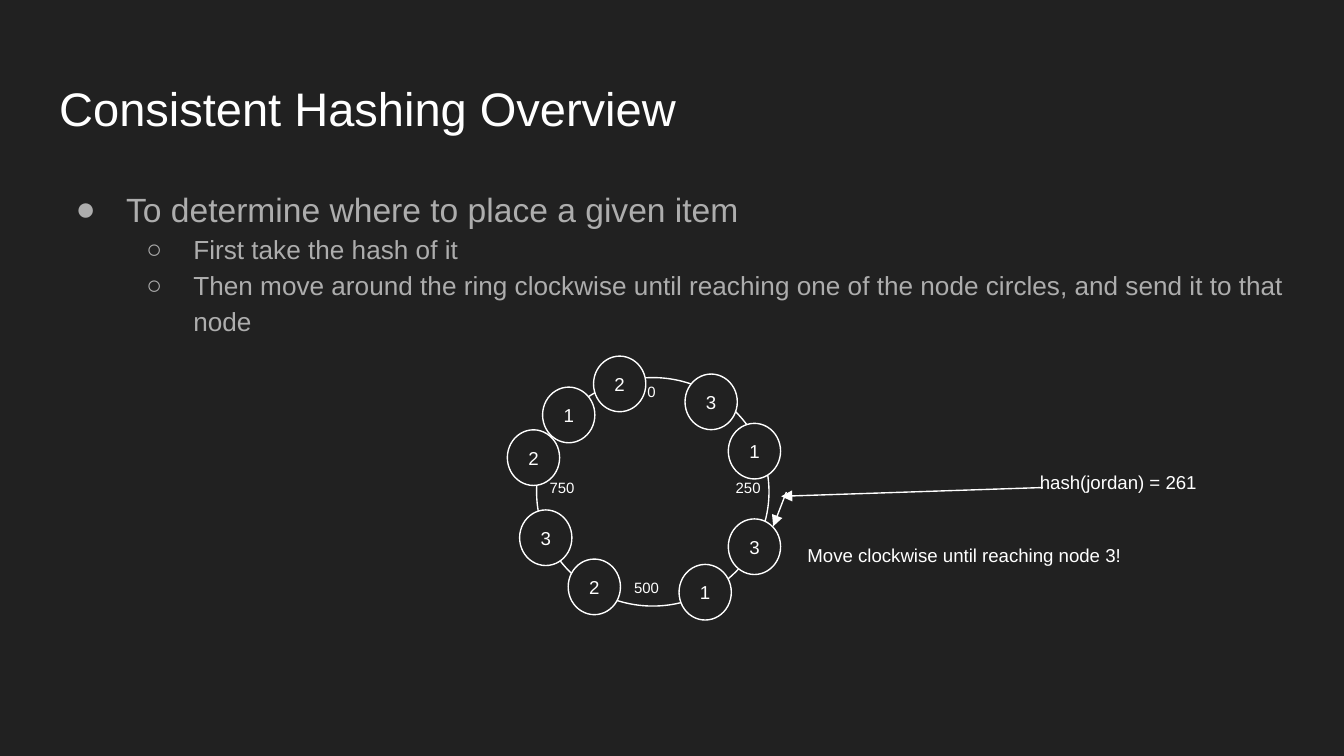
import pptx
import pptx.util
import pptx.dml.color
import pptx.enum.shapes
import pptx.enum.text
import pptx.oxml.ns
import lxml.etree

Pt = pptx.util.Pt
RGBColor = pptx.dml.color.RGBColor
ALIGN = pptx.enum.text.PP_ALIGN
ANCHOR = pptx.enum.text.MSO_ANCHOR
qn = pptx.oxml.ns.qn

DARK = RGBColor(0x21, 0x21, 0x21)
WHITE = RGBColor(0xFF, 0xFF, 0xFF)
GREY = RGBColor(0xAD, 0xAD, 0xAD)


class Deck:
    font = "Arial"
    line_width = 0.75
    inset = 7.2

    def __init__(self, width, height):
        self.prs = pptx.Presentation()
        self.prs.slide_width, self.prs.slide_height = Pt(width), Pt(height)

    def add_slide(self):
        self.s = self.prs.slides.add_slide(self.prs.slide_layouts[5])
        fill = self.s.background.fill
        fill.solid()
        fill.fore_color.rgb = DARK

    def format_text(self, tf, size, color=WHITE, align=ALIGN.LEFT,
                    anchor=ANCHOR.TOP, inset=inset):
        tf.word_wrap = True
        tf.vertical_anchor = anchor
        tf.margin_left = tf.margin_right = Pt(inset)
        tf.margin_top = tf.margin_bottom = Pt(inset)
        for p in tf.paragraphs:
            p.alignment = align
            for r in p.runs:
                r.font.name, r.font.size = self.font, Pt(size)
                r.font.color.rgb = color

    def title(self, text, x, y, w, h):
        sp = self.s.shapes.title
        sp.left, sp.top, sp.width, sp.height = Pt(x), Pt(y), Pt(w), Pt(h)
        tf = sp.text_frame
        tf.text = text
        tf.auto_size = pptx.enum.text.MSO_AUTO_SIZE.NONE
        self.format_text(tf, 25.2, anchor=ANCHOR.MIDDLE)

    def text(self, text, x, y, w, h, size, color=WHITE):
        sp = self.s.shapes.add_textbox(Pt(x), Pt(y), Pt(w), Pt(h))
        sp.text_frame.text = text
        self.format_text(sp.text_frame, size, color)
        return sp.text_frame

    def bullets(self, items, x, y, w, h):
        tf = self.text("\n".join(text for _, text in items), x, y, w, h, 18, GREY)
        for p, (level, _) in zip(tf.paragraphs, items):
            size, indent, char = [(18, 27, "●"), (14, 25.2, "○")][level]
            p.level = level
            p.line_spacing = 1.15
            for r in p.runs:
                r.font.size = Pt(size)
            pPr = p._p.get_or_add_pPr()
            pPr.set("marL", str(Pt(36 * (level + 1))))
            pPr.set("indent", str(-Pt(indent)))
            color = lxml.etree.SubElement(pPr, qn("a:buClr"))
            lxml.etree.SubElement(color, qn("a:srgbClr")).set("val", str(GREY))
            lxml.etree.SubElement(pPr, qn("a:buFont")).set("typeface", self.font)
            lxml.etree.SubElement(pPr, qn("a:buChar")).set("char", char)

    def ellipse(self, x, y, w, h, text="", fill=None):
        sp = self.s.shapes.add_shape(pptx.enum.shapes.MSO_SHAPE.OVAL,
                                     Pt(x), Pt(y), Pt(w), Pt(h))
        sp.shadow.inherit = False
        sp.line.color.rgb, sp.line.width = WHITE, Pt(self.line_width)
        if fill is None:
            sp.fill.background()
        else:
            sp.fill.solid()
            sp.fill.fore_color.rgb = fill
        if text:
            sp.text_frame.text = text
            self.format_text(sp.text_frame, 10, align=ALIGN.CENTER,
                             anchor=ANCHOR.MIDDLE, inset=0)

    def arrow(self, x1, y1, x2, y2):
        cx = self.s.shapes.add_connector(pptx.enum.shapes.MSO_CONNECTOR.STRAIGHT,
                                         Pt(x1), Pt(y1), Pt(x2), Pt(y2))
        cx.line.color.rgb, cx.line.width = WHITE, Pt(self.line_width)
        ln = cx.line._get_or_add_ln()
        lxml.etree.SubElement(ln, qn("a:tailEnd")).set("type", "triangle")
        lxml.etree.SubElement(cx._element.spPr, qn("a:effectLst"))


deck = Deck(720, 405)
deck.add_slide()

# Title and explanation
deck.title("Consistent Hashing Overview", 24.5, 35, 671, 45)
deck.bullets([
    (0, "To determine where to place a given item"),
    (1, "First take the hash of it"),
    (1, "Then move around the ring clockwise until reaching one of the "
        "node circles, and send it to that node"),
], 24.5, 90.7, 671, 269.3)

# Hash ring with its position marks
deck.ellipse(287.5, 202.3, 124.5, 122.4)
for mark, x, y, w in [("0", 339.8, 200.2, 23.8), ("250", 387, 251.8, 34.6),
                      ("500", 332.6, 305.3, 34.6), ("750", 287.3, 251.8, 34.6)]:
    deck.text(mark, x, y, w, 24.5, 8)

# Nodes on the ring
for node, x, y in [("1", 290.7, 207.4), ("3", 278.4, 273.2), ("2", 304.4, 299.5),
                   ("1", 363.8, 302.4), ("1", 390.2, 226.8), ("3", 390.2, 278),
                   ("3", 367, 200.4), ("2", 318, 190.8), ("2", 271.8, 230.3)]:
    deck.ellipse(x, y, 28, 29.8, node, DARK)

# Placing one item
deck.arrow(558.7, 261.2, 418.5, 265.9)
deck.text("hash(jordan) = 261", 550, 246.2, 152, 26.6, 10)
deck.arrow(421.3, 263.6, 414.2, 282)
deck.text("Move clockwise until reaching node 3!", 425.5, 285.6, 191.5, 26.6, 10)

deck.prs.save("out.pptx")
